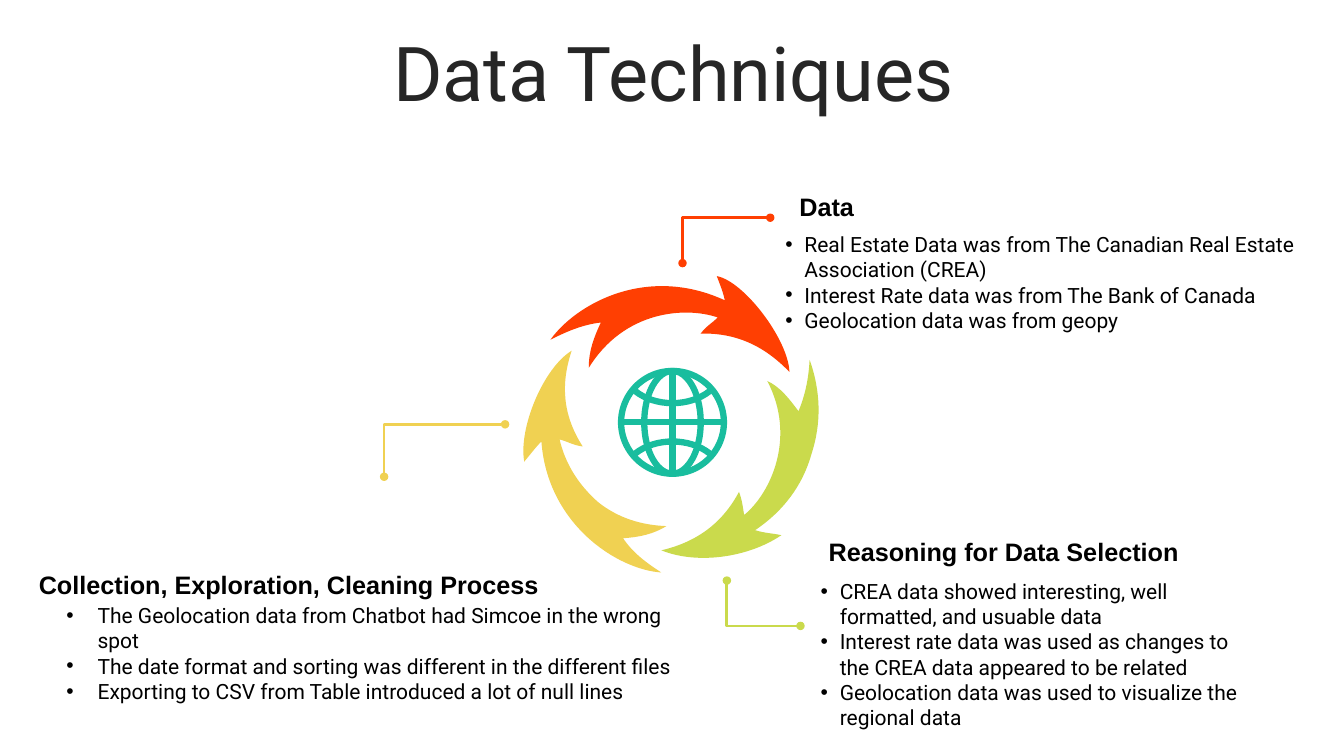
from lxml.etree import SubElement
from pptx import Presentation
from pptx.dml.color import RGBColor
from pptx.enum.shapes import MSO_CONNECTOR, MSO_SHAPE
from pptx.enum.text import MSO_ANCHOR, PP_ALIGN
from pptx.oxml.ns import qn
from pptx.util import Inches, Pt

BLACK = RGBColor(0x00, 0x00, 0x00)
CHARCOAL = RGBColor(0x26, 0x26, 0x26)
GREEN = RGBColor(0xCA, 0xDA, 0x4C)
RED = RGBColor(0xFF, 0x3F, 0x02)
YELLOW = RGBColor(0xF0, 0xD1, 0x52)
TEAL = RGBColor(0x19, 0xBD, 0x9E)

GREEN_ARROW = [
    (7.75, 5.31), (7.41, 5.54), (6.9, 5.6), (6.56, 5.46), (6.9, 5.38), (7.16, 5.2), (7.33, 4.88),
    (7.36, 4.96), (7.37, 5.04), (7.38, 5.11), (7.65, 4.89), (7.9, 4.33), (7.61, 3.78),
    (7.74, 3.84), (7.83, 3.96), (7.92, 4.08), (7.99, 3.91), (8.02, 3.75), (8.03, 3.57),
    (8.14, 3.88), (8.15, 4.19), (8.05, 4.5), (7.96, 4.82), (7.77, 5.07), (7.49, 5.26),
    (7.58, 5.29), (7.66, 5.29), (7.75, 5.31)]
RED_ARROW = [
    (6.95, 3.31), (7, 3.24), (7.07, 3.2), (7.12, 3.15), (6.8, 3.04), (6.19, 3.08), (5.84, 3.65),
    (5.84, 3.48), (5.89, 3.35), (5.96, 3.2), (5.78, 3.22), (5.62, 3.29), (5.46, 3.37),
    (5.71, 3.02), (6.41, 2.62), (7.19, 2.98), (7.17, 2.89), (7.14, 2.82), (7.11, 2.74),
    (7.38, 2.79), (7.82, 3.37), (7.83, 3.69), (7.59, 3.44), (7.31, 3.3), (6.95, 3.31)]
YELLOW_ARROW = [
    (5.78, 4.43), (5.69, 4.42), (5.63, 4.38), (5.55, 4.36), (5.61, 4.61), (5.74, 4.81), (5.93, 4.98),
    (6.13, 5.14), (6.36, 5.21), (6.61, 5.22), (6.48, 5.3), (6.34, 5.33), (6.18, 5.34),
    (6.28, 5.49), (6.42, 5.59), (6.56, 5.68), (6.12, 5.65), (5.43, 5.2), (5.37, 4.38),
    (5.31, 4.44), (5.26, 4.51), (5.2, 4.58), (5.14, 4.25), (5.39, 3.65), (5.67, 3.48),
    (5.56, 3.81), (5.58, 4.12), (5.78, 4.43)]


def style_run(r, size, font, color, bold=False):
    r.font.size = Pt(size)
    r.font.name = font
    r.font.color.rgb = color
    r.font.bold = bold


def set_title(slide, text):
    sp = slide.shapes.title
    sp.left, sp.top, sp.width, sp.height = Inches(0.35), Inches(0.37), Inches(12.66), Inches(0.79)
    tf = sp.text_frame
    tf.text = text
    tf.vertical_anchor = MSO_ANCHOR.MIDDLE
    p = tf.paragraphs[0]
    p.alignment = PP_ALIGN.CENTER
    p.line_spacing = 0.9
    p.space_before = Pt(10)
    style_run(p.runs[0], 54, "Roboto", CHARCOAL)


def add_text_box(slide, box):
    tf = slide.shapes.add_textbox(*[Inches(v) for v in box]).text_frame
    tf.word_wrap = True
    return tf


def add_heading(slide, box, text, align=PP_ALIGN.LEFT):
    tf = add_text_box(slide, box)
    tf.text = text
    p = tf.paragraphs[0]
    p.alignment = align
    style_run(p.runs[0], 18, "Arial", BLACK, bold=True)


def add_bullets(slide, box, items, margin=0.19, hanging=0.19):
    tf = add_text_box(slide, box)
    tf.text = "\n".join(items)
    for p in tf.paragraphs:
        style_run(p.runs[0], 15, "Roboto", BLACK)
        pPr = p._p.get_or_add_pPr()
        pPr.set("marL", str(Inches(margin)))
        pPr.set("indent", str(-Inches(hanging)))
        SubElement(pPr, qn("a:buFont")).set("typeface", "Arial")
        SubElement(pPr, qn("a:buChar")).set("char", "•")


def add_curve(slide, points, closed):
    start, *rest = [(Inches(x), Inches(y)) for x, y in points]
    builder = slide.shapes.build_freeform(*start)
    builder.add_line_segments(rest, close=closed)
    sp = builder.convert_to_shape()
    sp.shadow.inherit = False
    segments = list(sp._element.iter(qn("a:lnTo")))
    for i in range(0, len(segments), 3):
        bezier = segments[i].makeelement(qn("a:cubicBezTo"))
        segments[i].addprevious(bezier)
        for segment in segments[i:i + 3]:
            bezier.append(segment[0])
            segment.getparent().remove(segment)
    return sp


def add_cycle_arrow(slide, points, color):
    sp = add_curve(slide, points, True)
    sp.fill.solid()
    sp.fill.fore_color.rgb = color
    sp.line.fill.background()


def outline(sp, color, width):
    sp.line.color.rgb = color
    sp.line.width = Pt(width)


def add_line(slide, kind, start, end, color, width):
    cxn = slide.shapes.add_connector(kind, *[Inches(v) for v in (*start, *end)])
    outline(cxn, color, width)
    SubElement(cxn._element.spPr, qn("a:effectLst"))
    return cxn


def add_callout(slide, start, end, color, bend):
    cxn = add_line(slide, MSO_CONNECTOR.ELBOW, start, end, color, 2)
    guides = cxn._element.spPr.find(qn("a:prstGeom")).get_or_add_avLst()
    gd = SubElement(guides, qn("a:gd"))
    gd.set("name", "adj1")
    gd.set("fmla", f"val {bend}")
    ln = cxn.line._get_or_add_ln()
    for tag in ("a:headEnd", "a:tailEnd"):
        SubElement(ln, qn(tag)).set("type", "oval")


def add_globe(slide, cx, cy):
    radius, stroke = 0.51, 4.5
    for half_width in (radius, 0.28):
        sp = slide.shapes.add_shape(MSO_SHAPE.OVAL, Inches(cx - half_width), Inches(cy - radius),
                                    Inches(2 * half_width), Inches(2 * radius))
        sp.shadow.inherit = False
        sp.fill.background()
        outline(sp, TEAL, stroke)
    for dx, dy in ((radius, 0), (0, radius)):
        add_line(slide, MSO_CONNECTOR.STRAIGHT, (cx - dx, cy - dy), (cx + dx, cy + dy), TEAL, stroke)
    for side in (-1, 1):
        arc = [(cx + dx, cy + side * dy) for dx, dy in
               ((-0.37, 0.31), (-0.17, 0.15), (0.17, 0.15), (0.37, 0.31))]
        sp = add_curve(slide, arc, False)
        sp.fill.background()
        outline(sp, TEAL, stroke)


def main():
    prs = Presentation()
    prs.slide_width, prs.slide_height = Inches(13.33), Inches(7.5)
    slide = prs.slides.add_slide(prs.slide_layouts[5])
    set_title(slide, "Data Techniques")

    add_cycle_arrow(slide, GREEN_ARROW, GREEN)
    add_cycle_arrow(slide, RED_ARROW, RED)
    add_cycle_arrow(slide, YELLOW_ARROW, YELLOW)
    add_globe(slide, 6.67, 4.19)

    add_callout(slide, (7.64, 2.16), (6.77, 2.61), RED, 100000)
    add_heading(slide, (7.83, 1.85, 4.53, 0.4), "Data")
    add_bullets(slide, (7.69, 2.25, 5.64, 1.11), [
        "Real Estate Data was from The Canadian Real Estate Association (CREA)",
        "Interest Rate data was from The Bank of Canada",
        "Geolocation data was from geopy"])

    add_heading(slide, (8.12, 5.27, 4.51, 0.4), "Reasoning for Data Selection")
    add_bullets(slide, (8.04, 5.69, 4.51, 1.62), [
        "CREA data showed interesting, well formatted, and usuable data",
        "Interest rate data was used as changes to the CREA data appeared to be related",
        "Geolocation data was used to visualize the regional data"])

    add_heading(slide, (0.26, 5.6, 5.21, 0.71), "Collection, Exploration, Cleaning Process",
                PP_ALIGN.CENTER)
    add_bullets(slide, (0.43, 5.93, 6.47, 1.31), [
        "The Geolocation data from Chatbot had Simcoe in the wrong spot",
        "The date format and sorting was different in the different files",
        "Exporting to CSV from Table introduced a lot of null lines"], 0.44, 0.31)

    add_callout(slide, (3.81, 4.73), (5.01, 4.21), YELLOW, 0)
    add_callout(slide, (7.94, 6.21), (7.21, 5.76), GREEN, 100000)
    prs.save("out.pptx")


if __name__ == "__main__":
    main()
